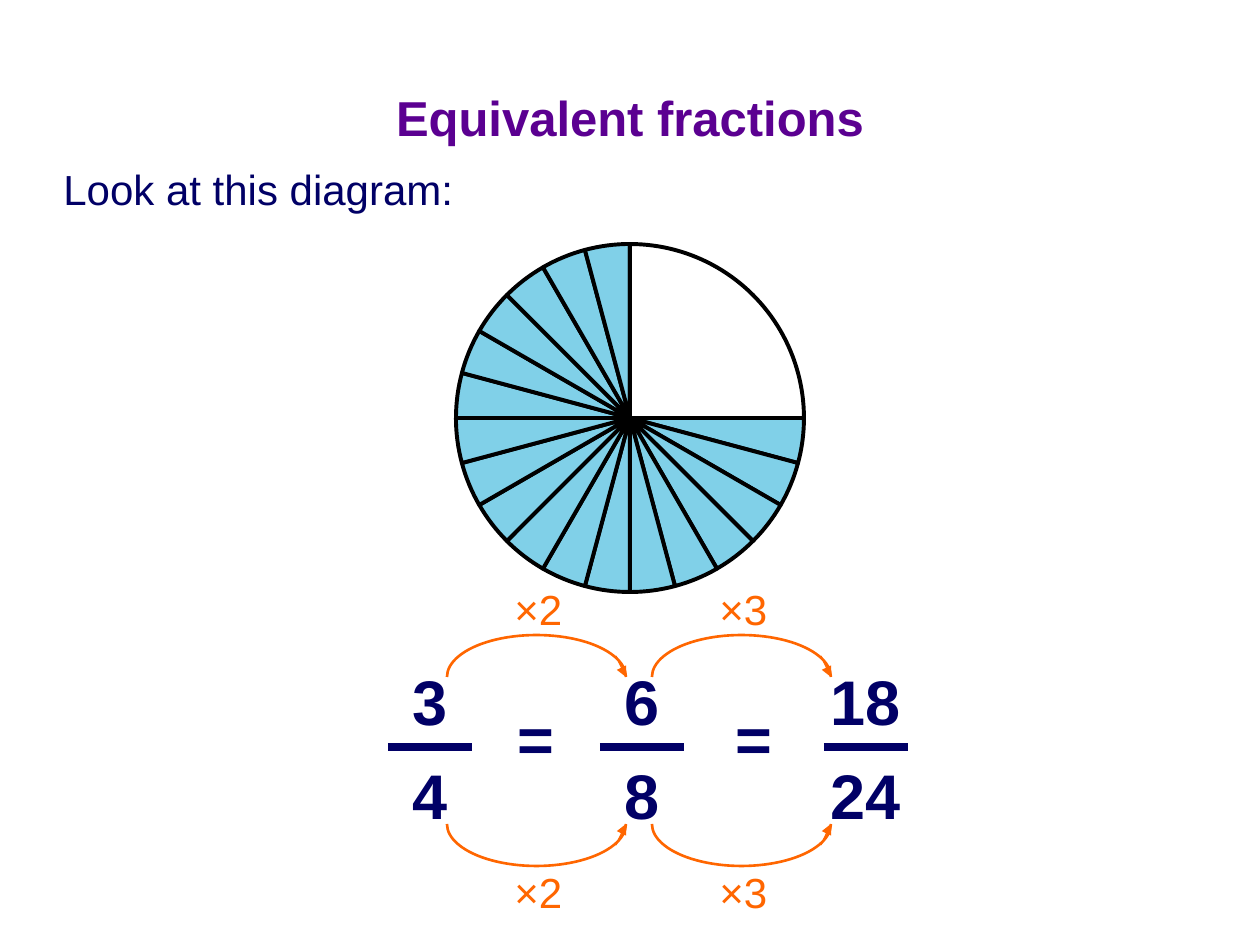
from dataclasses import dataclass

import pptx
import pptx.dml.color
import pptx.enum.shapes
import pptx.enum.text
import pptx.oxml
import pptx.oxml.ns
import pptx.util

EMU_PER_PX = 914400 / 126
SLIDE_WIDTH, SLIDE_HEIGHT = 1260, 945

NAVY = pptx.dml.color.RGBColor(0x01, 0x00, 0x66)
PURPLE = pptx.dml.color.RGBColor(0x5B, 0x00, 0x91)
ORANGE = pptx.dml.color.RGBColor(0xFF, 0x66, 0x00)
SKY = pptx.dml.color.RGBColor(0x80, 0xD0, 0xE8)
WHITE = pptx.dml.color.RGBColor(0xFF, 0xFF, 0xFF)
BLACK = pptx.dml.color.RGBColor(0x00, 0x00, 0x00)

SHAPES = pptx.enum.shapes.MSO_SHAPE
ALIGN = pptx.enum.text.PP_ALIGN


@dataclass
class Fraction:
    center: int
    numerator: str
    denominator: str


@dataclass
class Step:
    left: int
    label: str


FRACTIONS = [Fraction(430, "3", "4"), Fraction(642, "6", "8"), Fraction(866, "18", "24")]
STEPS = [Step(447, "×2"), Step(652, "×3")]
EQUALS_LEFTS = [505, 723]

CIRCLE_LEFT, CIRCLE_TOP, CIRCLE_SIZE = 456, 244, 348
SLICE_ANGLE = 15
SHADED_ANGLE = 270

BAR_Y, BAR_WIDTH = 747, 84
ARC_WIDTH, ARC_HEIGHT = 179, 84


def px(length: int) -> pptx.util.Emu:
    return pptx.util.Emu(round(length * EMU_PER_PX))


def write_text(frame, text: str, *, size: int, color, bold: bool = False,
               align=ALIGN.LEFT) -> None:
    paragraph = frame.paragraphs[0]
    paragraph.alignment = align
    run = paragraph.add_run()
    run.text = text
    run.font.name = "Arial"
    run.font.size = pptx.util.Pt(size)
    run.font.bold = bold
    run.font.color.rgb = color


def add_label(slide, left: int, top: int, width: int, height: int, text: str,
              **text_format) -> None:
    box = slide.shapes.add_textbox(px(left), px(top), px(width), px(height))
    box.text_frame.word_wrap = False
    box.text_frame.auto_size = pptx.enum.text.MSO_AUTO_SIZE.SHAPE_TO_FIT_TEXT
    write_text(box.text_frame, text, **text_format)


def add_line(slide, start: tuple[int, int], end: tuple[int, int], color, weight: float,
             arrow: bool = False) -> None:
    line = slide.shapes.add_connector(
        pptx.enum.shapes.MSO_CONNECTOR.STRAIGHT, *map(px, start + end))
    line.line.color.rgb = color
    line.line.width = pptx.util.Pt(weight)
    if arrow:
        tail = pptx.oxml.parse_xml(
            f'<a:tailEnd {pptx.oxml.ns.nsdecls("a")} type="triangle"/>')
        line.line._get_or_add_ln().append(tail)
    line._element.spPr.append(
        pptx.oxml.parse_xml(f'<a:effectLst {pptx.oxml.ns.nsdecls("a")}/>'))


def add_sector(slide, kind, left: int, top: int, width: int, height: int, start: int,
               end: int, line_color, weight: float, fill=None) -> None:
    """Draw a pie or arc; angles are degrees clockwise from the right."""
    shape = slide.shapes.add_shape(kind, px(left), px(top), px(width), px(height))
    for index, angle in enumerate((start, end)):
        shape.adjustments[index] = angle % 360 * 0.6
    shape.shadow.inherit = False
    if fill is None:
        shape.fill.background()
    else:
        shape.fill.solid()
        shape.fill.fore_color.rgb = fill
    shape.line.color.rgb = line_color
    shape.line.width = pptx.util.Pt(weight)


def add_slice(slide, start: int, end: int, fill) -> None:
    add_sector(slide, SHAPES.PIE, CIRCLE_LEFT, CIRCLE_TOP, CIRCLE_SIZE, CIRCLE_SIZE,
               start, end, BLACK, 2.25, fill)


def add_fraction(slide, fraction: Fraction) -> None:
    for text, top in ((fraction.numerator, 656), (fraction.denominator, 750)):
        width = 28 + 36 * len(text)
        add_label(slide, fraction.center - width // 2, top, width, 88, text,
                  size=36, color=NAVY, bold=True, align=ALIGN.CENTER)
    left = fraction.center - BAR_WIDTH // 2
    add_line(slide, (left, BAR_Y), (left + BAR_WIDTH, BAR_Y), NAVY, 4.5)


def add_step(slide, step: Step) -> None:
    right = step.left + ARC_WIDTH
    # Each row: arc ends, direction of the bulge, first arc angle, label top
    for end_y, bulge, start, label_top in ((677, -1, 180, 577), (824, 1, 0, 860)):
        add_sector(slide, SHAPES.ARC, step.left, end_y - ARC_HEIGHT // 2, ARC_WIDTH,
                   ARC_HEIGHT, start, start + 180, ORANGE, 1.5)
        add_line(slide, (right - 10, end_y + 21 * bulge), (right, end_y), ORANGE, 0.75,
                 arrow=True)
        add_label(slide, step.left + 55, label_top, 73, 63, step.label,
                  size=24, color=ORANGE)


def main() -> None:
    presentation = pptx.Presentation()
    presentation.slide_width = px(SLIDE_WIDTH)
    presentation.slide_height = px(SLIDE_HEIGHT)
    slide = presentation.slides.add_slide(presentation.slide_layouts[5])

    # Title and introduction
    title = slide.shapes.title
    title.left, title.top, title.width, title.height = map(px, (63, 38, 1134, 158))
    title.text_frame.vertical_anchor = pptx.enum.text.MSO_ANCHOR.MIDDLE
    write_text(title.text_frame, "Equivalent fractions", size=28, color=PURPLE,
               bold=True, align=ALIGN.CENTER)
    add_label(slide, 51, 157, 415, 63, "Look at this diagram:", size=24, color=NAVY)

    # Circle: shaded slices, then the empty quarter
    for angle in range(0, SHADED_ANGLE, SLICE_ANGLE):
        add_slice(slide, angle, angle + SLICE_ANGLE, SKY)
    add_slice(slide, SHADED_ANGLE, 360, WHITE)

    # Chain of equal fractions
    for fraction in FRACTIONS:
        add_fraction(slide, fraction)
    for left in EQUALS_LEFTS:
        add_label(slide, left, 693, 62, 88, "=", size=36, color=NAVY, bold=True)

    # Multiplying steps above and below
    for step in STEPS:
        add_step(slide, step)

    presentation.save("out.pptx")


if __name__ == "__main__":
    main()
